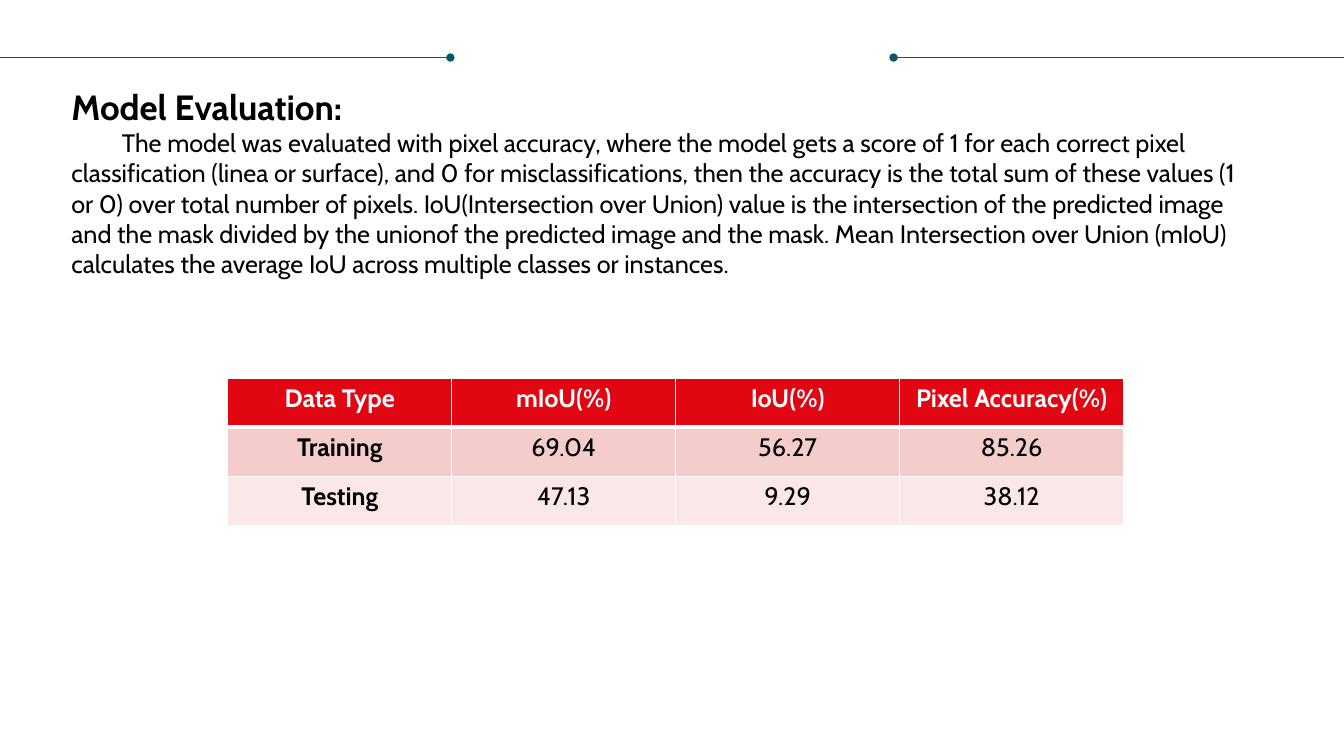
import pptx
import pptx.util
import pptx.dml.color
import pptx.enum.shapes
import pptx.enum.text
import pptx.oxml
import pptx.oxml.ns
from lxml import etree

Cm = pptx.util.Cm
Pt = pptx.util.Pt
RGBColor = pptx.dml.color.RGBColor
qn = pptx.oxml.ns.qn

TEAL = RGBColor(0x08, 0x57, 0x64)
BLACK = RGBColor(0x00, 0x00, 0x00)
WHITE = RGBColor(0xFF, 0xFF, 0xFF)
RED = RGBColor(0xE2, 0x06, 0x13)
PINK = RGBColor(0xF4, 0xCC, 0xCC)
PALE_PINK = RGBColor(0xFA, 0xE7, 0xE7)

SLIDE_WIDTH = 33.87
RULE_LENGTH = 11.35
RULE_TOP = 1.45

EXPLANATION = (
    "\tThe model was evaluated with pixel accuracy, where the model gets a score of 1 "
    "for each correct pixel classification (linea or surface), and 0 for "
    "misclassifications, then the accuracy is the total sum of these values (1 or 0) "
    "over total number of pixels. IoU(Intersection over Union) value is the "
    "intersection of the predicted image and the mask divided by the unionof the "
    "predicted image and the mask. Mean Intersection over Union (mIoU) calculates the "
    "average IoU across multiple classes or instances."
)
SCORES = [
    ["Data Type", "mIoU(%)", "IoU(%)", "Pixel Accuracy(%)"],
    ["Training", "69.04", "56.27", "85.26"],
    ["Testing", "47.13", "9.29", "38.12"],
]


class SlideBuilder:
    font_name = "Cabin"
    body_size = 18
    title_size = 25

    def __init__(self, deck):
        self.slide = deck.slides.add_slide(deck.slide_layouts[6])

    def style(self, paragraph, size, color, bold):
        for span in paragraph.runs:
            span.font.name = self.font_name
            span.font.size = Pt(size)
            span.font.color.rgb = color
            span.font.bold = bold

    def dotted_rule(self, dot_x, edge_x, y):
        rule = self.slide.shapes.add_connector(
            pptx.enum.shapes.MSO_CONNECTOR.STRAIGHT, Cm(dot_x), Cm(y), Cm(edge_x), Cm(y)
        )
        rule.line.color.rgb = TEAL
        rule.line.width = Pt(0.5)
        etree.SubElement(rule.line._get_or_add_ln(), qn("a:headEnd"), type="oval")
        etree.SubElement(rule._element.spPr, qn("a:effectLst"))

    def titled_text(self, title, body, left, top, width, height):
        box = self.slide.shapes.add_textbox(Cm(left), Cm(top), Cm(width), Cm(height))
        frame = box.text_frame
        frame.word_wrap = True
        frame.auto_size = pptx.enum.text.MSO_AUTO_SIZE.SHAPE_TO_FIT_TEXT
        heading = frame.paragraphs[0]
        heading.text = title
        self.style(heading, self.title_size, BLACK, True)
        para = frame.add_paragraph()
        para.text = body
        self.style(para, self.body_size, BLACK, False)

    def cell_borders(self, cell, widths):
        properties = cell._tc.get_or_add_tcPr()
        for side, width in widths.items():
            border = etree.SubElement(properties, qn(f"a:ln{side}"), w=str(Pt(width)))
            fill = etree.SubElement(border, qn("a:solidFill"))
            etree.SubElement(fill, qn("a:srgbClr"), val=str(WHITE))

    def table(self, rows, row_fills, left, top, width, height):
        grid = self.slide.shapes.add_table(
            len(rows), len(rows[0]), Cm(left), Cm(top), Cm(width), Cm(height)
        ).table
        for row, values in enumerate(rows):
            for column, value in enumerate(values):
                cell = grid.cell(row, column)
                top_width = 3 if row == 1 else 1
                bottom_width = 3 if row == 0 else 1
                self.cell_borders(cell, {"L": 1, "R": 1, "T": top_width, "B": bottom_width})
                cell.fill.solid()
                cell.fill.fore_color.rgb = row_fills[row]
                para = cell.text_frame.paragraphs[0]
                para.text = value
                para.alignment = pptx.enum.text.PP_ALIGN.CENTER
                color = WHITE if row == 0 else BLACK
                self.style(para, self.body_size, color, row == 0 or column == 0)


def main():
    deck = pptx.Presentation()
    deck.slide_width = Cm(SLIDE_WIDTH)
    deck.slide_height = Cm(19.05)
    page = SlideBuilder(deck)
    page.dotted_rule(SLIDE_WIDTH - RULE_LENGTH, SLIDE_WIDTH, RULE_TOP)
    page.dotted_rule(RULE_LENGTH, 0, RULE_TOP)
    page.titled_text("Model Evaluation:", EXPLANATION, 1.55, 2.03, 30.2, 5.18)
    page.table(SCORES, [RED, PINK, PALE_PINK], 5.74, 9.53, 22.58, 3.71)
    deck.save("out.pptx")


if __name__ == "__main__":
    main()
